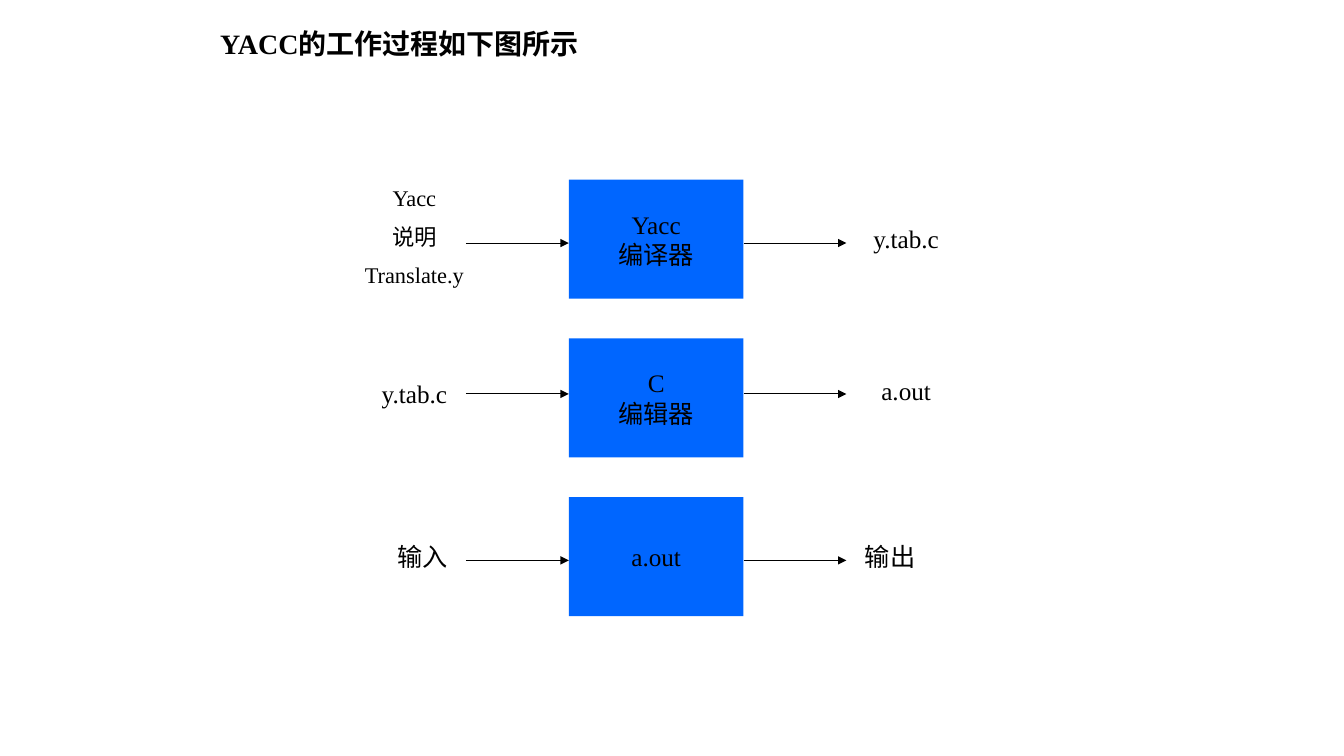
from lxml.etree import SubElement
from pptx import Presentation
from pptx.dml.color import RGBColor
from pptx.enum.shapes import MSO_CONNECTOR as Connector, MSO_SHAPE as Shape
from pptx.enum.text import MSO_ANCHOR as Anchor, MSO_AUTO_SIZE as AutoSize, PP_ALIGN as Align
from pptx.oxml.ns import qn
from pptx.util import Pt


def rgb(value):
    return RGBColor.from_string(value)


class Diagram:
    font = "Times New Roman"
    ink = "000000"
    box_fill = "0066FF"

    def __init__(self, slide):
        self.slide = slide

    def set_text(self, frame, text, size, align=Align.CENTER, bold=False, gap=0):
        frame.text = text
        for index, paragraph in enumerate(frame.paragraphs):
            paragraph.alignment = align
            paragraph.space_before = Pt(gap if index else 0)
            paragraph.font.name = self.font
            paragraph.font.size = Pt(size)
            paragraph.font.bold = bold
            paragraph.font.color.rgb = rgb(self.ink)

    def title(self, text, left, top, width, height):
        heading = self.slide.shapes.title
        heading.left, heading.top = Pt(left), Pt(top)
        heading.width, heading.height = Pt(width), Pt(height)
        frame = heading.text_frame
        frame.vertical_anchor = Anchor.TOP
        frame.auto_size = AutoSize.NONE
        self.set_text(frame, text, 20, Align.LEFT, bold=True)
        frame.paragraphs[0].line_spacing = 0.9

    def box(self, text, left, top, width, height):
        tool = self.slide.shapes.add_shape(
            Shape.RECTANGLE, Pt(left), Pt(top), Pt(width), Pt(height))
        tool.shadow.inherit = False
        tool.fill.solid()
        tool.fill.fore_color.rgb = rgb(self.box_fill)
        tool.line.fill.background()
        tool.text_frame.word_wrap = False
        tool.text_frame.vertical_anchor = Anchor.MIDDLE
        self.set_text(tool.text_frame, text, 18)

    def label(self, text, left, top, width, height, size=18):
        caption = self.slide.shapes.add_textbox(Pt(left), Pt(top), Pt(width), Pt(height))
        caption.text_frame.word_wrap = True
        caption.text_frame.auto_size = AutoSize.SHAPE_TO_FIT_TEXT
        self.set_text(caption.text_frame, text, size, gap=size / 2)

    def arrow(self, left, y, length):
        flow = self.slide.shapes.add_connector(
            Connector.STRAIGHT, Pt(left), Pt(y), Pt(left + length), Pt(y))
        flow.line.color.rgb = rgb(self.ink)
        flow.line.width = Pt(0.75)
        properties = flow._element.spPr
        SubElement(properties.find(qn("a:ln")), qn("a:tailEnd"), type="triangle")
        SubElement(properties, qn("a:effectLst"))


BOX_LEFT, BOX_TOP, BOX_WIDTH, BOX_HEIGHT = 406.3, 128.3, 124.8, 85
STAGE_PITCH = 113.4
ARROW_LENGTH = 73.5
LABEL_WIDTH, LABEL_HEIGHT = 108, 29

# Each stage: tool, arrow height, then input and output as (text, left, top, height, size)
STAGES = [
    ("Yacc\n编译器", 173.6,
     ("Yacc\n说明\nTranslate.y", 242, 128.3, 84, 16),
     ("y.tab.c", 593.3, 156.2, LABEL_HEIGHT, 18)),
    ("C\n编辑器", 281.4,
     ("y.tab.c", 242, 266.4, LABEL_HEIGHT, 18),
     ("a.out", 593.3, 264.3, LABEL_HEIGHT, 18)),
    ("a.out", 400.3,
     ("输入", 247.7, 383, LABEL_HEIGHT, 18),
     ("输出", 581.8, 383, LABEL_HEIGHT, 18)),
]


def main():
    deck = Presentation()
    deck.slide_width, deck.slide_height = Pt(960), Pt(540)
    title_only = deck.slide_layouts[5]
    diagram = Diagram(deck.slides.add_slide(title_only))

    # Heading
    diagram.title("YACC的工作过程如下图所示", 150, 18, 654, 42.5)

    # Stages: input, tool, output
    for row, (tool, arrow_y, source, result) in enumerate(STAGES):
        diagram.box(tool, BOX_LEFT, BOX_TOP + row * STAGE_PITCH, BOX_WIDTH, BOX_HEIGHT)
        for arrow_left in (BOX_LEFT - ARROW_LENGTH, BOX_LEFT + BOX_WIDTH):
            diagram.arrow(arrow_left, arrow_y, ARROW_LENGTH)
        for text, left, top, height, size in (source, result):
            diagram.label(text, left, top, LABEL_WIDTH, height, size)

    deck.save("out.pptx")


if __name__ == "__main__":
    main()
